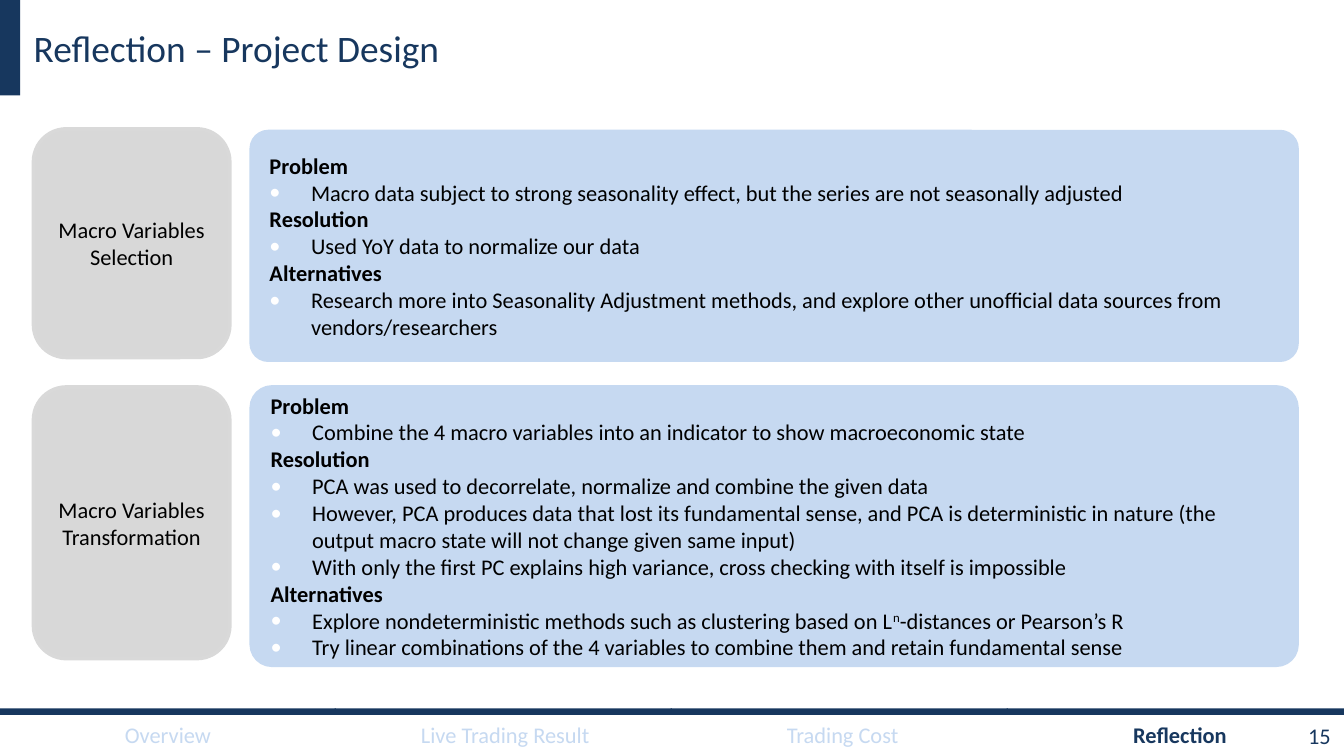
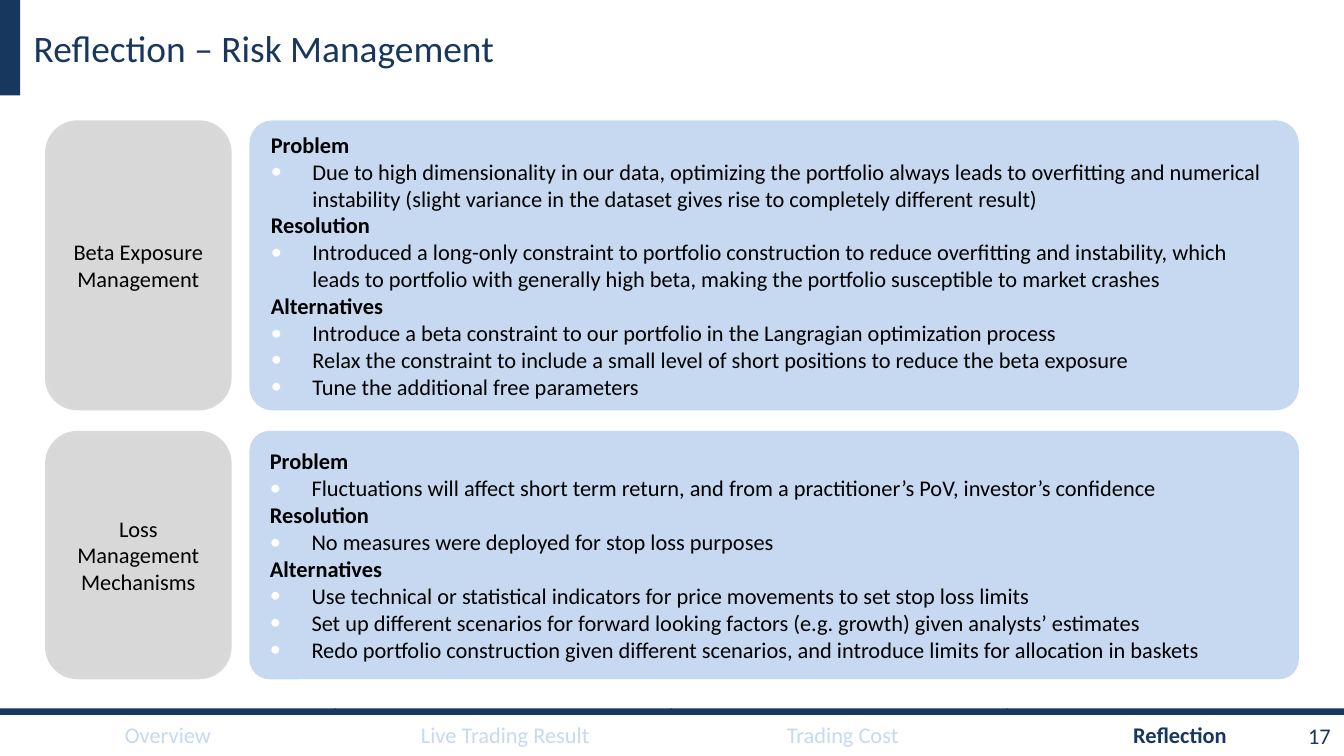
from dataclasses import dataclass

from lxml.etree import SubElement
from pptx import Presentation
from pptx.dml.color import RGBColor
from pptx.enum.shapes import MSO_SHAPE
from pptx.enum.text import MSO_ANCHOR, PP_ALIGN
from pptx.oxml.ns import qn
from pptx.util import Inches, Pt

NAVY = RGBColor(0x17, 0x37, 0x5E)
PALE_BLUE = RGBColor(0xC6, 0xD9, 0xF1)
GREY = RGBColor(0xD8, 0xD8, 0xD8)
GREY_EDGE = RGBColor(0xD9, 0xD9, 0xD9)
BLACK = RGBColor(0, 0, 0)
WHITE = RGBColor(0xFF, 0xFF, 0xFF)

FONT = "Calibri"
SLIDE_WIDTH = Inches(10)
SLIDE_HEIGHT = SLIDE_WIDTH * 9 // 16
SECTIONS = ("Overview", "Live Trading Result", "Trading Cost", "Reflection")
CURRENT_SECTION = "Reflection"
SECTION_WIDTH = 2.5
SECTION_STEP = 2.51
BAND_OVERLAP = 0.01
FOOTER_TOP, FOOTER_HEIGHT = 5.32, 0.3
DETAIL_LEFT, DETAIL_WIDTH, DETAIL_ROUNDING = 1.87, 7.78, 0.074
TOPIC_RIGHT = 1.71
BULLET_INDENT = Inches(0.31)


@dataclass(frozen=True)
class Box:
    left: float
    top: float
    width: float
    height: float

    def lengths(self):
        return [Inches(value) for value in
                (self.left, self.top, self.width, self.height)]


@dataclass(frozen=True)
class Topic:
    """A grey topic label beside its detail panel."""
    label: tuple[str, ...]
    label_top: float
    label_height: float
    detail_top: float
    detail_height: float
    problem: tuple[str, ...]
    resolution: tuple[str, ...]
    alternatives: tuple[str, ...]


@dataclass(frozen=True)
class ReflectionSlide:
    title: str
    number: int
    label_left: float
    topics: tuple[Topic, ...]


SLIDES = (
    ReflectionSlide("Reflection – Project Design", 15, 0.25, (
        Topic(
            ("Macro Variables", "Selection"), 0.96, 1.7, 0.98, 1.7,
            ("Macro data subject to strong seasonality effect, but the series "
             "are not seasonally adjusted",),
            ("Used YoY data to normalize our data",),
            ("Research more into Seasonality Adjustment methods, and explore "
             "other unofficial data sources from vendors/researchers",)),
        Topic(
            ("Macro Variables Transformation",), 2.88, 2.02, 2.88, 2.07,
            ("Combine the 4 macro variables into an indicator to show "
             "macroeconomic state",),
            ("PCA was used to decorrelate, normalize and combine the given data",
             "However, PCA produces data that lost its fundamental sense, and "
             "PCA is deterministic in nature (the output macro state will not "
             "change given same input)",
             "With only the first PC explains high variance, cross checking "
             "with itself is impossible"),
            ("Explore nondeterministic methods such as clustering based on "
             "L^n^-distances or Pearson’s R",
             "Try linear combinations of the 4 variables to combine them and "
             "retain fundamental sense")),
    )),
    ReflectionSlide("Reflection – Risk Management", 17, 0.35, (
        Topic(
            ("Beta Exposure", "Management"), 0.91, 2.13, 0.91, 2.13,
            ("Due to high dimensionality in our data, optimizing the portfolio "
             "always leads to overfitting and numerical instability (slight "
             "variance in the dataset gives rise to completely different result)",),
            ("Introduced a long-only constraint to portfolio construction to "
             "reduce overfitting and instability, which leads to portfolio with "
             "generally high beta, making the portfolio susceptible to market "
             "crashes",),
            ("Introduce a beta constraint to our portfolio in the Langragian "
             "optimization process",
             "Relax the constraint to include a small level of short positions "
             "to reduce the beta exposure",
             "Tune the additional free parameters")),
        Topic(
            ("Loss Management", "Mechanisms"), 3.22, 1.82, 3.22, 1.82,
            ("Fluctuations will affect short term return, and from a "
             "practitioner’s PoV, investor’s confidence",),
            ("No measures were deployed for stop loss purposes",),
            ("Use technical or statistical indicators for price movements to "
             "set stop loss limits",
             "Set up different scenarios for forward looking factors (e.g. "
             "growth) given analysts’ estimates",
             "Redo portfolio construction given different scenarios, and "
             "introduce limits for allocation in baskets")),
    )),
)


def add_text(paragraph, text: str, color: RGBColor, size: int = 12,
             bold: bool = False, alignment=PP_ALIGN.LEFT) -> None:
    """Fill a paragraph; text between carets is raised."""
    paragraph.alignment = alignment
    formats = {"name": FONT, "size": Pt(size), "bold": bold}
    for index, part in enumerate(text.split("^")):
        run = paragraph.add_run()
        run.text = part
        for name, value in formats.items():
            setattr(run.font, name, value)
        run.font.color.rgb = color
        if index % 2:
            run.font._element.set("baseline", "30000")


def add_bullet(paragraph) -> None:
    properties = paragraph._p.get_or_add_pPr()
    properties.set("marL", str(BULLET_INDENT))
    properties.set("indent", str(-BULLET_INDENT))
    color = SubElement(properties, qn("a:buClr"))
    SubElement(color, qn("a:srgbClr")).set("val", str(WHITE))
    SubElement(properties, qn("a:buFont")).set("typeface", FONT)
    SubElement(properties, qn("a:buChar")).set("char", "•")


def next_paragraph(frame, first: bool):
    return frame.paragraphs[0] if first else frame.add_paragraph()


def add_block(slide, kind, box: Box, fill: RGBColor, edge: RGBColor | None = None):
    shape = slide.shapes.add_shape(kind, *box.lengths())
    shape.shadow.inherit = False
    shape.fill.solid()
    shape.fill.fore_color.rgb = fill
    if edge is None:
        shape.line.fill.background()
    else:
        shape.line.color.rgb = edge
        shape.line.width = Pt(2)
    frame = shape.text_frame
    frame.word_wrap = True
    frame.vertical_anchor = MSO_ANCHOR.MIDDLE
    return shape


def add_footer_text(slide, box: Box, text: str, color: RGBColor,
                    bold: bool = False, alignment=PP_ALIGN.CENTER,
                    anchor=MSO_ANCHOR.TOP) -> None:
    frame = slide.shapes.add_textbox(*box.lengths()).text_frame
    frame.word_wrap = True
    frame.vertical_anchor = anchor
    add_text(frame.paragraphs[0], text, color, bold=bold, alignment=alignment)


def add_frame(slide, content: ReflectionSlide) -> None:
    """Add the title, its side band and the section footer."""
    add_block(slide, MSO_SHAPE.RECTANGLE, Box(-0.01, 0, 0.16, 0.71), NAVY)
    for index, section in enumerate(SECTIONS):
        band = Box(SECTION_WIDTH * index - BAND_OVERLAP, 5.27,
                   SECTION_WIDTH + BAND_OVERLAP, 0.05)
        add_block(slide, MSO_SHAPE.RECTANGLE, band, NAVY)
        current = section == CURRENT_SECTION
        label = Box(SECTION_STEP * index, FOOTER_TOP, SECTION_WIDTH, FOOTER_HEIGHT)
        add_footer_text(slide, label, section, NAVY if current else PALE_BLUE,
                        bold=current)
    add_footer_text(slide, Box(7.67, FOOTER_TOP, 2.33, FOOTER_HEIGHT),
                    str(content.number), NAVY, alignment=PP_ALIGN.RIGHT,
                    anchor=MSO_ANCHOR.MIDDLE)

    title = slide.shapes.title
    title.left, title.top, title.width, title.height = Box(0.15, 0, 9.06, 0.71).lengths()
    title.text_frame.vertical_anchor = MSO_ANCHOR.MIDDLE
    add_text(title.text_frame.paragraphs[0], content.title, NAVY, size=20)


def add_topic(slide, topic: Topic, label_left: float) -> None:
    detail_box = Box(DETAIL_LEFT, topic.detail_top, DETAIL_WIDTH, topic.detail_height)
    detail = add_block(slide, MSO_SHAPE.ROUNDED_RECTANGLE, detail_box,
                       PALE_BLUE, PALE_BLUE)
    detail.adjustments[0] = DETAIL_ROUNDING
    parts = {"Problem": topic.problem, "Resolution": topic.resolution,
             "Alternatives": topic.alternatives}
    for index, (heading, points) in enumerate(parts.items()):
        paragraph = next_paragraph(detail.text_frame, index == 0)
        add_text(paragraph, heading, BLACK, bold=True)
        for point in points:
            paragraph = detail.text_frame.add_paragraph()
            add_bullet(paragraph)
            add_text(paragraph, point, BLACK)

    label_box = Box(label_left, topic.label_top, TOPIC_RIGHT - label_left,
                    topic.label_height)
    label = add_block(slide, MSO_SHAPE.ROUNDED_RECTANGLE, label_box, GREY, GREY_EDGE)
    for index, line in enumerate(topic.label):
        paragraph = next_paragraph(label.text_frame, index == 0)
        add_text(paragraph, line, BLACK, alignment=PP_ALIGN.CENTER)


def main() -> None:
    presentation = Presentation()
    presentation.slide_width = SLIDE_WIDTH
    presentation.slide_height = SLIDE_HEIGHT
    title_only = presentation.slide_layouts.get_by_name("Title Only")
    for content in SLIDES:
        slide = presentation.slides.add_slide(title_only)
        add_frame(slide, content)
        for topic in content.topics:
            add_topic(slide, topic, content.label_left)
    presentation.save("out.pptx")


if __name__ == "__main__":
    main()
